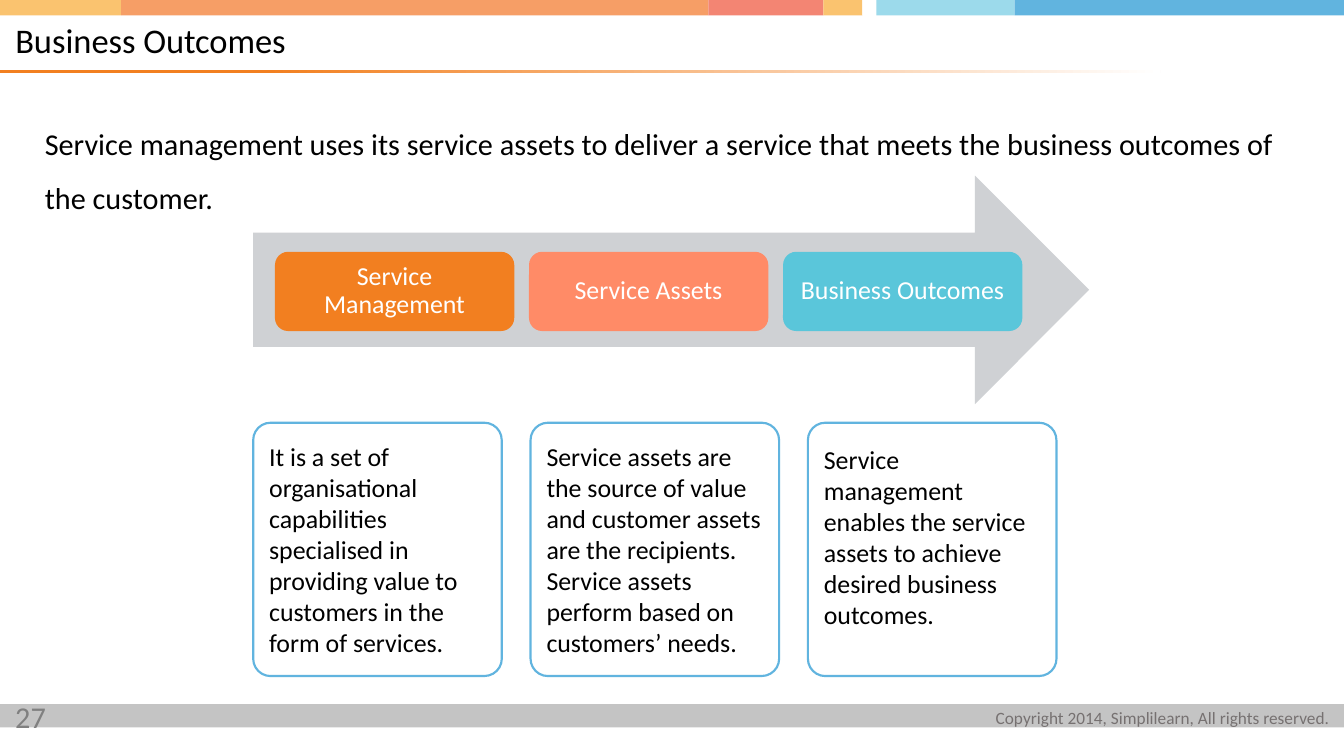
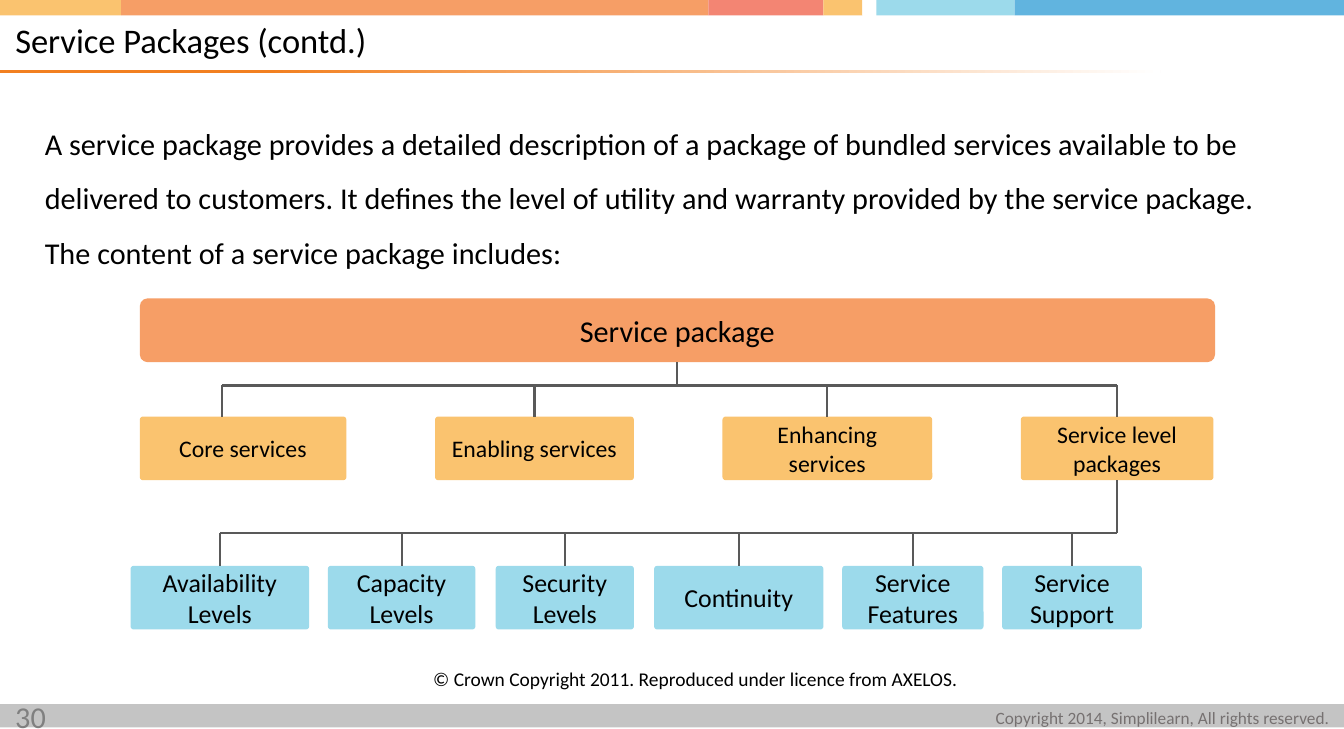
"""Build two service management slides: business outcomes and service packages."""
from lxml import etree
from pptx import Presentation
from pptx.dml.color import RGBColor
from pptx.enum import shapes, text
from pptx.oxml import ns
from pptx.util import Inches, Pt

FONT = "Calibri"
BLACK, WHITE = "000000", "FFFFFF"
ORANGE, AMBER, CORAL, SKY, BLUE = "F69E66", "FAC36F", "F38573", "9CDAEB", "61B4DF"
LINE_GREY = "595959"
RECT = shapes.MSO_SHAPE.RECTANGLE
ROUND = shapes.MSO_SHAPE.ROUNDED_RECTANGLE
ARROW = shapes.MSO_SHAPE.RIGHT_ARROW
TOP, MIDDLE = text.MSO_ANCHOR.TOP, text.MSO_ANCHOR.MIDDLE
LEFT, CENTER, RIGHT = text.PP_ALIGN.LEFT, text.PP_ALIGN.CENTER, text.PP_ALIGN.RIGHT

BAND_EDGES = [0, 0.78, 4.56, 5.3, 5.55, 5.64, 6.53, 8.65]
BAND_COLORS = [AMBER, ORANGE, CORAL, AMBER, WHITE, SKY, BLUE]
FOOTER = "Copyright 2014, Simplilearn, All rights reserved."

OUTCOMES = {
    "title": "Business Outcomes",
    "number": "27",
    "intro": "Service management uses its service assets to deliver a service that "
             "meets the business outcomes of the customer.",
}
STAGES = [
    ("Service Management", "F27F20", 0.08,
     "It is a set of organisational capabilities specialised in providing value "
     "to customers in the form of services."),
    ("Service Assets", "FF8B67", 0.08,
     "Service assets are the source of value and customer assets are the "
     "recipients. Service assets perform based on customers’ needs."),
    ("Business Outcomes", "5AC6DA", 0.1,
     "Service management enables the service assets to achieve desired business "
     "outcomes."),
]
PACKAGES = {
    "title": "Service Packages (contd.)",
    "number": "30",
    "intro": "A service package provides a detailed description of a package of "
             "bundled services available to be delivered to customers. It defines "
             "the level of utility and warranty provided by the service package. "
             "The content of a service package includes:",
}
SERVICES = [
    ("Core services", 0.9, 1.33),
    ("Enabling services", 2.8, 1.28),
    ("Enhancing services", 4.65, 1.35),
    ("Service level packages", 6.57, 1.24),
]
LEVELS = [
    ("Availability Levels", 0.84, 1.15),
    ("Capacity Levels", 2.11, 0.95),
    ("Security Levels", 3.19, 0.89),
    ("Continuity", 4.21, 1.09),
    ("Service Features", 5.42, 0.91),
    ("Service Support", 6.45, 0.9),
]
CORE_DROP = 1.43
CREDIT = "© Crown Copyright 2011. Reproduced under licence from AXELOS."


def rgb(value):
    """Turn a hex string into a colour."""
    return RGBColor.from_string(value)


def write(box, words, size=12, color=BLACK, align=LEFT, anchor=TOP, spacing=None,
          insets=(0.1, 0.05, 0.1, 0.05)):
    """Put one formatted paragraph into a box."""
    frame = box.text_frame
    frame.word_wrap = True
    frame.vertical_anchor = anchor
    (frame.margin_left, frame.margin_top,
     frame.margin_right, frame.margin_bottom) = map(Inches, insets)
    para = frame.paragraphs[0]
    para.alignment = align
    if spacing:
        para.line_spacing = spacing
    span = para.add_run()
    span.text = words
    span.font.name, span.font.size = FONT, Pt(size)
    span.font.color.rgb = rgb(color)


def add_text(page, words, place, **style):
    """Add a text box."""
    write(page.shapes.add_textbox(*map(Inches, place)), words, **style)


def add_box(page, kind, place, fill=None, line=None, corner=None):
    """Add a preset shape without shadow."""
    box = page.shapes.add_shape(kind, *map(Inches, place))
    box.shadow.inherit = False
    if fill:
        box.fill.solid()
        box.fill.fore_color.rgb = rgb(fill)
    else:
        box.fill.background()
    if line:
        box.line.color.rgb = rgb(line)
        box.line.width = Pt(1)
    else:
        box.line.fill.background()
    if corner is not None:
        box.adjustments[0] = corner
    return box


def add_line(page, start, end):
    """Add a thin grey straight connector."""
    line = page.shapes.add_connector(shapes.MSO_CONNECTOR.STRAIGHT,
                                     *map(Inches, (*start, *end)))
    line.line.color.rgb = rgb(LINE_GREY)
    line.line.width = Pt(1)
    etree.SubElement(line._element.spPr, ns.qn("a:effectLst"))
    return line


def add_page(deck, content):
    """Add a slide with its band, title, intro and footer."""
    page = deck.slides.add_slide(deck.slide_layouts[6])
    add_box(page, RECT, (0, 4.53, 8.65, 0.15), "C4C4C4")
    add_text(page, FOOTER, (6.06, 4.5, 2.5, 0.24), size=8, color="767171",
             align=RIGHT, insets=(0, 0.05, 0, 0.05))
    add_text(page, content["number"], (0, 4.44, 0.63, 0.25), size=14, color="808080")
    for left, right, color in zip(BAND_EDGES, BAND_EDGES[1:], BAND_COLORS):
        add_box(page, RECT, (left, 0, right - left, 0.1), color)
    rule = add_box(page, RECT, (0, 0.45, 7.47, 0.02))
    rule.fill.gradient()
    rule.fill.gradient_angle = 0
    for stop, (position, color) in zip(rule.fill.gradient_stops,
                                       [(0.23, "F28020"), (1, WHITE)]):
        stop.position, stop.color.rgb = position, rgb(color)
    add_text(page, content["title"], (0, 0.1, 7.08, 0.34), size=16, anchor=MIDDLE,
             spacing=0.9, insets=(0.1, 0, 0, 0))
    add_text(page, content["intro"], (0.19, 0.64, 8.24, 1.09), size=14, spacing=1.5)
    return page


def add_row(page, items, top, bus, size, fill):
    """Add a row of boxes, each hung from a horizontal bus."""
    boxes = []
    drops = []
    for words, left, width in items:
        box = add_box(page, ROUND, (left, top, width, 0.41), fill, corner=0.05)
        write(box, words, size=size, align=CENTER, anchor=MIDDLE,
              insets=(0.09, 0.05, 0.09, 0.05))
        off_centre = words == "Core services"
        drop = CORE_DROP if off_centre else left + width / 2
        line = add_line(page, (drop, bus), (drop, top))
        if not off_centre:
            line.end_connect(box, 0)
        boxes.append(box)
        drops.append(drop)
    return boxes, drops


def add_trunk(page, parent, bus, drops):
    """Join a parent box to the bus above its children."""
    middle = (parent.left + parent.width / 2) / Inches(1)
    bottom = (parent.top + parent.height) / Inches(1)
    add_line(page, (middle, bottom), (middle, bus)).begin_connect(parent, 2)
    add_line(page, (min(drops), bus), (max(*drops, middle), bus))


def build_outcomes(deck):
    """Build the arrow of stages with a card for each."""
    page = add_page(deck, OUTCOMES)
    add_box(page, ARROW, (1.63, 1.13, 5.38, 1.47), "CFD1D4")
    for index, (name, color, inset, words) in enumerate(STAGES):
        stage = add_box(page, ROUND, (1.77 + 1.635 * index, 1.62, 1.54, 0.51), color)
        write(stage, name, color=WHITE, align=CENTER, anchor=MIDDLE, spacing=0.9,
              insets=(0.08, 0.05, 0.08, 0.05))
        card = add_box(page, ROUND, (1.63 + 1.785 * index, 2.72, 1.6, 1.63),
                       line=BLUE, corner=0.07)
        write(card, words, insets=(0.07, inset, 0.07, 0.05))


def build_packages(deck):
    """Build the tree of service packages."""
    page = add_page(deck, PACKAGES)
    root = add_box(page, ROUND, (0.9, 1.92, 6.92, 0.41), ORANGE, corner=0.12)
    write(root, "Service package", size=14, align=CENTER, anchor=MIDDLE)
    parent = root
    for items, top, bus, size, fill in [(SERVICES, 2.68, 2.48, 11, AMBER),
                                        (LEVELS, 3.64, 3.43, 12, SKY)]:
        boxes, drops = add_row(page, items, top, bus, size, fill)
        add_trunk(page, parent, bus, drops)
        parent = boxes[-1]
    add_text(page, CREDIT, (2.69, 4.24, 3.63, 0.25), size=9)


def main():
    """Build and save the deck."""
    deck = Presentation()
    deck.slide_width, deck.slide_height = Inches(8.65), Inches(4.69)
    build_outcomes(deck)
    build_packages(deck)
    deck.save("out.pptx")


if __name__ == "__main__":
    main()
